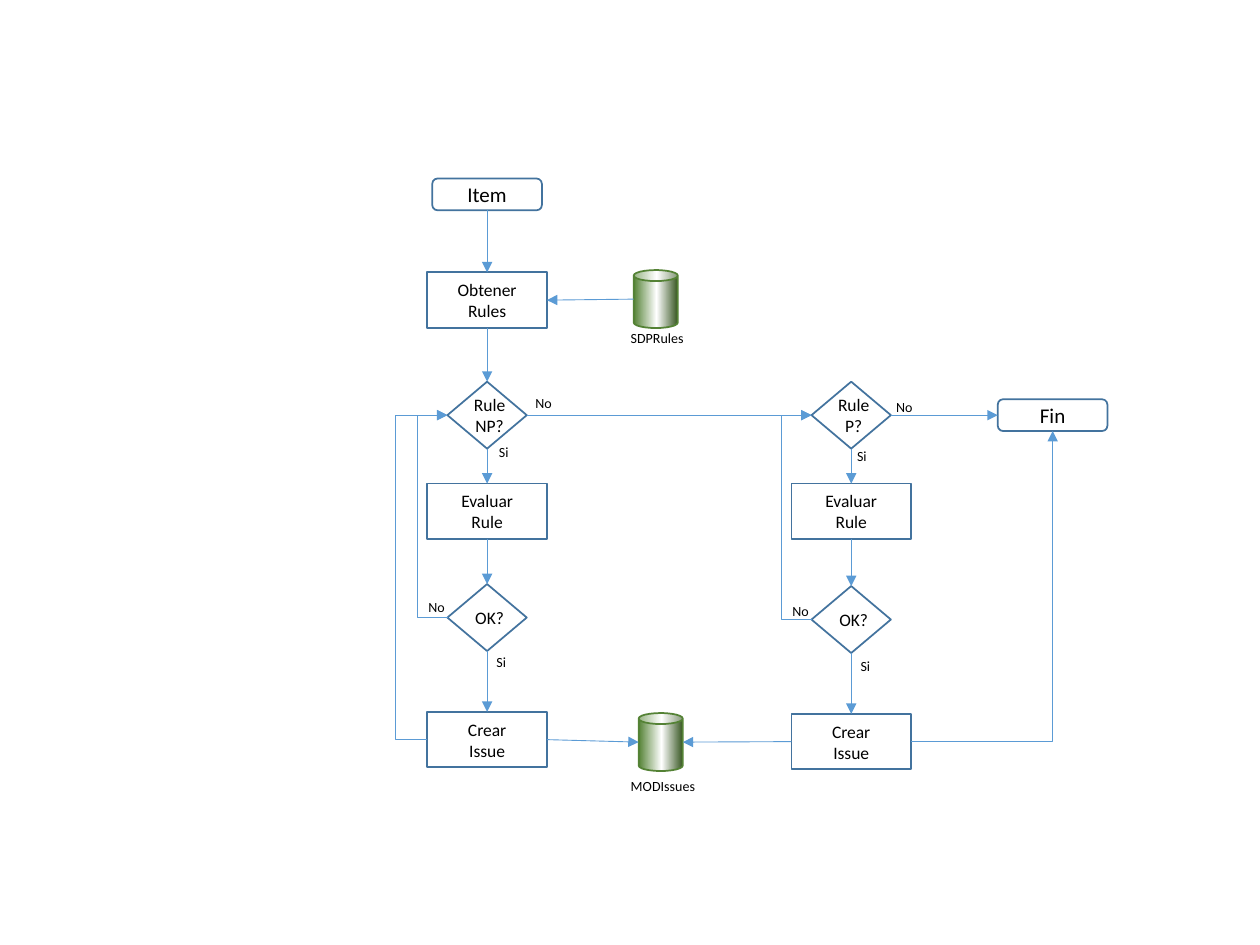
from copy import deepcopy
from lxml.etree import SubElement as Sub
from pptx import Presentation
from pptx.dml.color import RGBColor
from pptx.enum.shapes import MSO_CONNECTOR as Link, MSO_SHAPE as Form
from pptx.enum.text import MSO_ANCHOR as Anchor, MSO_AUTO_SIZE as Fit, PP_ALIGN as Align
from pptx.oxml.ns import qn
from pptx.util import Cm, Pt

rgb = RGBColor.from_string


def write(shape, text, size=10, wrap=True, inset=None):
    """Fill a shape with centred text; inset is (left, top, right, bottom) in cm."""
    frame = shape.text_frame
    frame.word_wrap = wrap
    frame.vertical_anchor = Anchor.MIDDLE
    if not wrap:
        frame.auto_size = Fit.SHAPE_TO_FIT_TEXT
    if inset:
        (frame.margin_left, frame.margin_top,
         frame.margin_right, frame.margin_bottom) = map(Cm, inset)
    frame.text = text
    for par in frame.paragraphs:
        par.alignment = Align.CENTER
        par.font.size = Pt(size)
        par.font.name = "Calibri"
        par.font.color.rgb = rgb("000000")


def arrow(x1, y1, x2, y2, bend=None, corner=False):
    """Draw an arrow; bend is the x of an elbow's upright, corner turns just once."""
    kind = Link.ELBOW if corner or bend is not None else Link.STRAIGHT
    line = slide.shapes.add_connector(kind, Cm(x1), Cm(y1), Cm(x2), Cm(y2))
    line.line.color.rgb = rgb("5B9BD5")
    line.line.width = Pt(0.5)
    props = line._element.spPr
    Sub(props.find(qn("a:ln")), qn("a:tailEnd"), type="triangle")
    Sub(props, qn("a:effectLst"))
    geom = props.find(qn("a:prstGeom"))
    if corner:
        geom.set("prst", "bentConnector2")
    elif bend is not None:
        ratio = round((bend - x1) / (x2 - x1) * 100000)
        Sub(geom.find(qn("a:avLst")), qn("a:gd"), name="adj1", fmla=f"val {ratio}")


deck = Presentation()
deck.slide_width, deck.slide_height = Cm(25.4), Cm(19.05)
slide = deck.slides.add_slide(deck.slide_layouts[6])

# Sizes, column centres and row centres in cm
BOX, GEM, PILL, CAN = (2.41, 1.12), (1.6, 1.35), (2.21, 0.64), (0.89, 1.17)
NP, P, END = 9.82, 17.16, 21.22
ITEM, GET, RULE, EVAL = 3.92, 6.05, 8.37, 10.31
STORES = [(13.22, 6.03), (13.32, 14.96)]
cols = [(NP, "Rule NP?", 12.45, 14.91, 8.41), (P, "Rule P?", 12.49, 14.95, 15.75)]

nodes = [
    (Form.ROUNDED_RECTANGLE, PILL, NP, ITEM, "Item"),
    (Form.ROUNDED_RECTANGLE, PILL, END, RULE, "Fin"),
    (Form.RECTANGLE, BOX, NP, GET, "Obtener\nRules"),
]
for x, test, check, make, _ in cols:
    nodes += [
        (Form.DIAMOND, GEM, x, RULE, test),
        (Form.RECTANGLE, BOX, x, EVAL, "Evaluar\nRule"),
        (Form.DIAMOND, GEM, x, check, "OK?"),
        (Form.RECTANGLE, BOX, x, make, "Crear\nIssue"),
    ]
nodes += [(Form.CAN, CAN, x, y, "") for x, y in STORES]

for form, (w, h), x, y, text in nodes:
    node = slide.shapes.add_shape(form, Cm(x - w / 2), Cm(y - h / 2), Cm(w), Cm(h))
    node.shadow.inherit = False
    node.line.width = Pt(1)
    if form == Form.CAN:
        node.line.color.rgb = rgb("548235")
        node.fill.gradient()
        node.fill.gradient_angle = 180
        first = node._element.spPr.find(qn("a:gradFill")).find(qn("a:gsLst"))[0]
        first.addnext(deepcopy(first))
        shades = [(0, "385723"), (0.48, "FFFFFF"), (1, "548235")]
        for stop, (place, shade) in zip(node.fill.gradient_stops, shades):
            stop.position = place
            stop.color.rgb = rgb(shade)
        continue
    node.line.color.rgb = rgb("43739E")
    node.fill.solid()
    node.fill.fore_color.rgb = rgb("FFFFFF")
    write(node, text, size=12 if form == Form.ROUNDED_RECTANGLE else 10,
          inset=(0.1, 0, 0, 0) if form == Form.DIAMOND else None)

# Steps down each column, and the loop back from a failed check
box, gem = BOX[0] / 2, GEM[0] / 2
arrow(NP, ITEM + PILL[1] / 2, NP, GET - BOX[1] / 2)
arrow(NP, GET + BOX[1] / 2, NP, RULE - GEM[1] / 2)
for x, _, check, make, bend in cols:
    arrow(x, RULE + GEM[1] / 2, x, EVAL - BOX[1] / 2)
    arrow(x, EVAL + BOX[1] / 2, x, check - GEM[1] / 2)
    arrow(x, check + GEM[1] / 2, x, make - BOX[1] / 2)
    arrow(x - gem + 0.02, check, x - gem, RULE, bend=bend)

# Links between columns, stores and the end
(rules, high), (issues, low) = STORES
made, last = cols[0][3], cols[1][3]
can = CAN[0] / 2
arrow(rules - can, high, NP + box, GET)
arrow(NP + gem, RULE, P - gem, RULE)
arrow(P + gem, RULE, END - PILL[0] / 2, RULE)
arrow(NP + box, made, issues - can, low)
arrow(P - box, last, issues + can, low)
arrow(NP - box, made, NP - gem, RULE, bend=7.98)
arrow(P + box, last, END, RULE + PILL[1] / 2, corner=True)

labels = [
    ("Si", 0.71, [(9.8, 8.81), (17.02, 8.89), (9.75, 13.03), (17.09, 13.11)]),
    ("No", 0.84, [(8.38, 11.94), (17.81, 7.9), (15.72, 12.01), (10.54, 7.82)]),
    ("SDPRules", 1.6, [(12.45, 6.5)]),
    ("MODIssues", 1.83, [(12.45, 15.54)]),
]
for text, width, spots in labels:
    for x, y in spots:
        label = slide.shapes.add_textbox(Cm(x), Cm(y), Cm(width), Cm(0.61))
        write(label, text, size=8, wrap=False)

deck.save("out.pptx")
